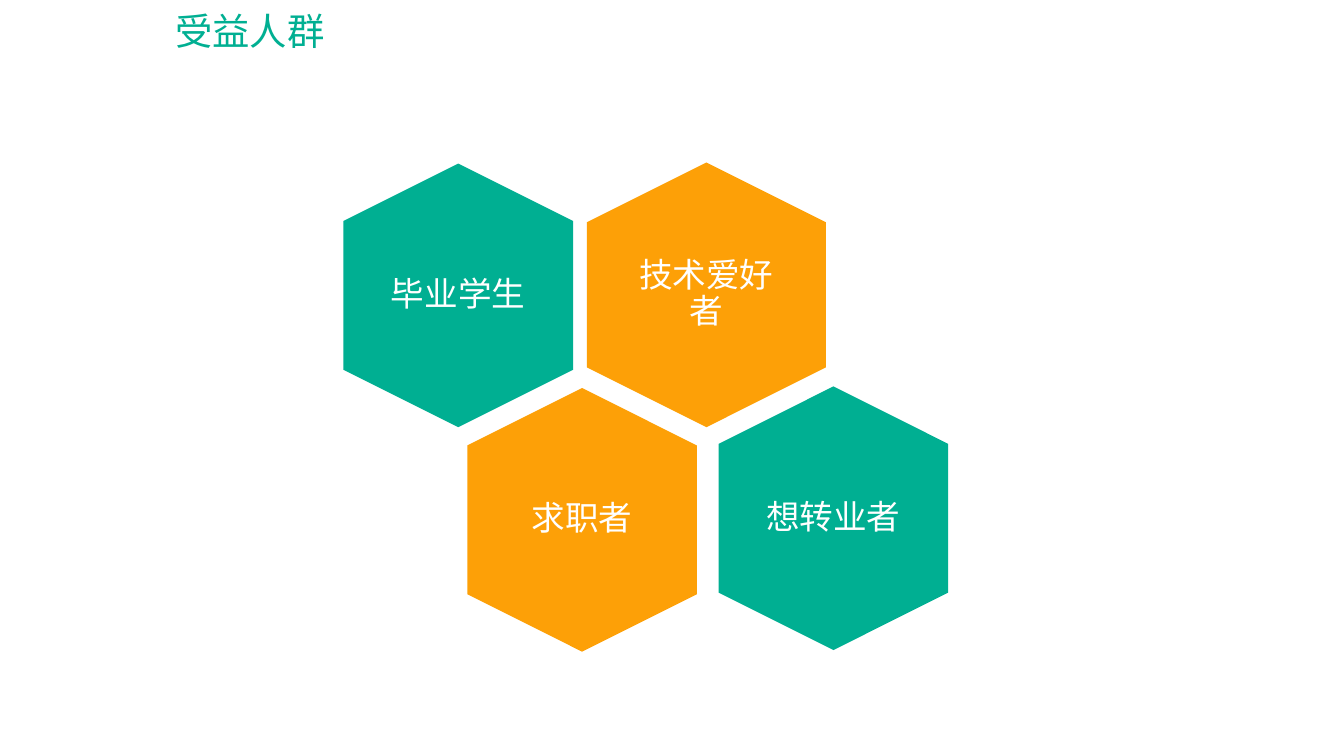
from dataclasses import dataclass

from pptx import Presentation
from pptx.dml.color import RGBColor
from pptx.enum.shapes import MSO_SHAPE as Shape
from pptx.enum.text import MSO_ANCHOR as Anchor, MSO_AUTO_SIZE as AutoSize, PP_ALIGN as Align
from pptx.util import Cm, Pt


@dataclass(frozen=True)
class Theme:
    font: str = "Arial"
    green: RGBColor = RGBColor(0x00, 0xAF, 0x92)
    orange: RGBColor = RGBColor(0xFD, 0xA0, 0x07)
    white: RGBColor = RGBColor(0xFF, 0xFF, 0xFF)
    title_size: Pt = Pt(20)
    label_size: Pt = Pt(18)


THEME = Theme()

# label, colour, centre x, centre y, length (point to point), breadth in cm
AUDIENCES = [
    ("技术爱好者", THEME.orange, 13.35, 5.57, 5.0, 4.52),
    ("毕业学生", THEME.green, 8.66, 5.58, 4.98, 4.34),
    ("求职者", THEME.orange, 11.0, 9.82, 4.98, 4.34),
    ("想转业者", THEME.green, 15.75, 9.79, 4.98, 4.34),
]
LABEL_WIDTH, LABEL_HEIGHT, LABEL_INSET = 3.07, 3.43, 0.18


def centred(cx, cy, width, height):
    """Return left, top, width and height of a box around a centre in cm."""
    return Cm(cx - width / 2), Cm(cy - height / 2), Cm(width), Cm(height)


def set_text(tf, text, size, color):
    tf.text = text
    p = tf.paragraphs[0]
    p.alignment = Align.CENTER
    font = p.runs[0].font
    font.name, font.size = THEME.font, size
    font.color.rgb = color
    return p


def add_title(s, text):
    title = s.shapes.title
    title.left, title.top, title.width, title.height = Cm(3.05), Cm(0.03), Cm(3.35), Cm(1.12)
    tf = title.text_frame
    tf.word_wrap = False
    tf.auto_size = AutoSize.NONE
    tf.vertical_anchor = Anchor.TOP
    set_text(tf, text, THEME.title_size, THEME.green)


def add_hexagon(s, color, cx, cy, length, breadth):
    """Add a hexagon standing on a point."""
    sp = s.shapes.add_shape(Shape.HEXAGON, *centred(cx, cy, length, breadth))
    sp.rotation = 90
    sp.shadow.inherit = False
    sp.fill.solid()
    sp.fill.fore_color.rgb = color
    sp.line.fill.background()


def add_label(s, text, cx, cy):
    """Add upright text, separate from the rotated hexagon."""
    tf = s.shapes.add_textbox(*centred(cx, cy, LABEL_WIDTH, LABEL_HEIGHT)).text_frame
    tf.word_wrap = True
    tf.vertical_anchor = Anchor.MIDDLE
    tf.margin_left = tf.margin_right = tf.margin_top = tf.margin_bottom = Cm(LABEL_INSET)
    p = set_text(tf, text, THEME.label_size, THEME.white)
    p.line_spacing = 0.9
    p.space_after = Pt(6.3)


def main():
    prs = Presentation()
    prs.slide_width, prs.slide_height = Cm(25.4), Cm(14.28)
    s = prs.slides.add_slide(prs.slide_layouts[5])
    add_title(s, "受益人群")
    for text, color, cx, cy, length, breadth in AUDIENCES:
        add_hexagon(s, color, cx, cy, length, breadth)
        add_label(s, text, cx, cy)
    prs.save("out.pptx")


if __name__ == "__main__":
    main()
